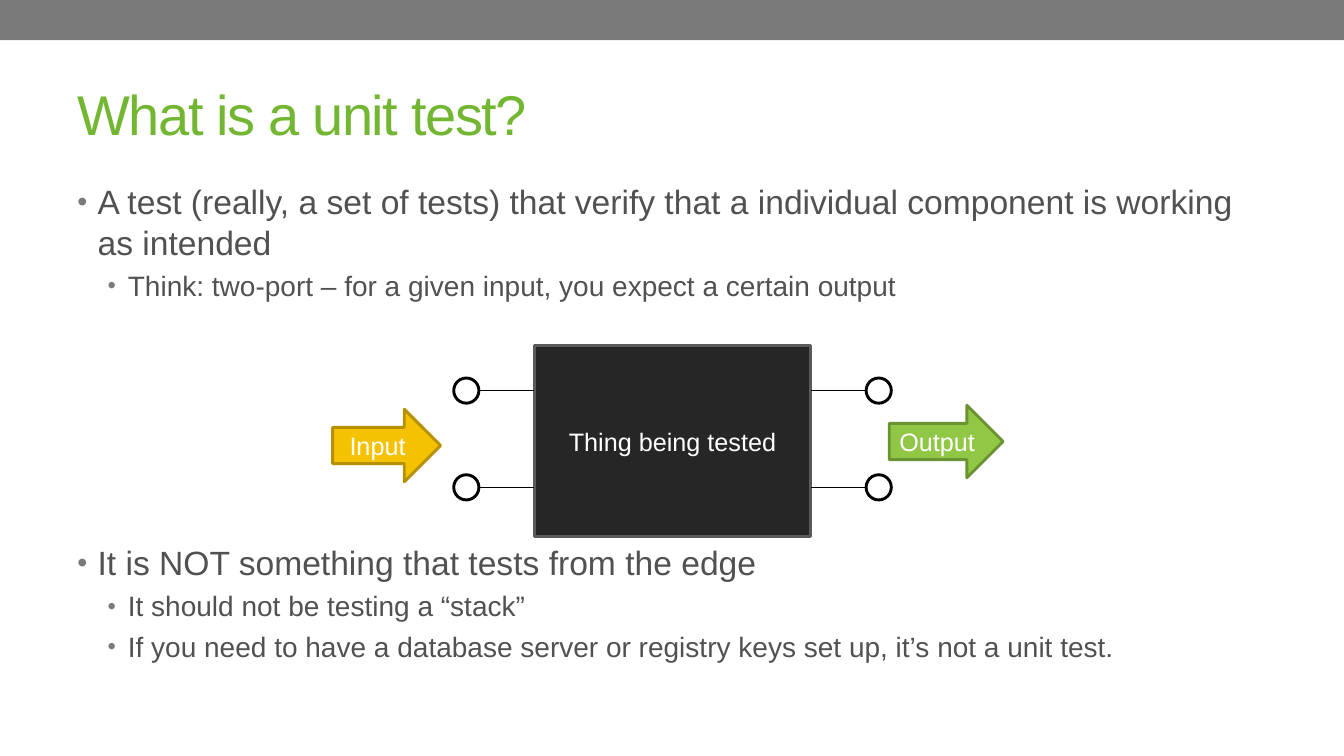
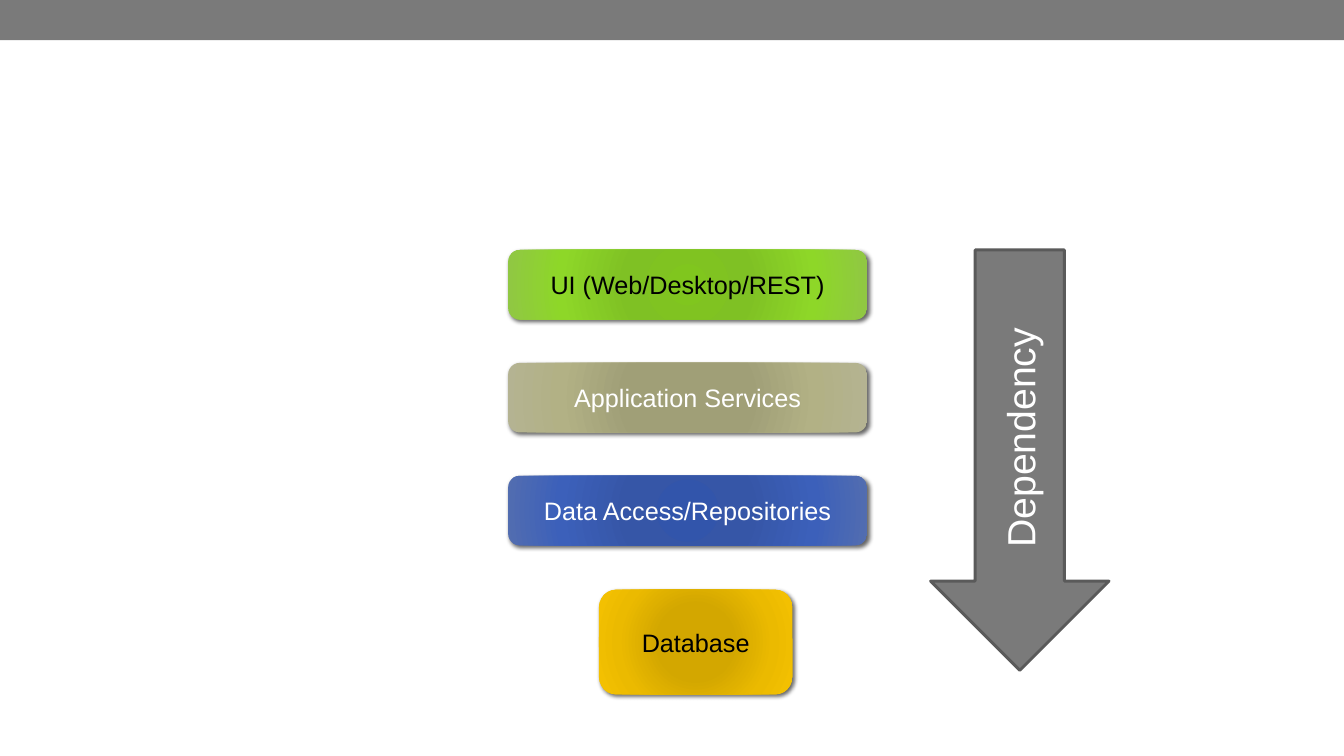
import lxml.etree
import pptx
import pptx.dml.color
import pptx.enum.shapes
import pptx.enum.text
import pptx.oxml
import pptx.oxml.ns
import pptx.util

Inches = pptx.util.Inches
Pt = pptx.util.Pt
qn = pptx.oxml.ns.qn
SHAPE = pptx.enum.shapes.MSO_SHAPE
ALIGN = pptx.enum.text.PP_ALIGN
ANCHOR = pptx.enum.text.MSO_ANCHOR

FONT = "Arial"
WHITE, BLACK = "FFFFFF", "000000"
GREEN, GRAY, DARK_GRAY, TEXT = "73B632", "7A7A7A", "5A5A5A", "505150"
OUTLINE = 2.08
BODY_LEVELS = [(24, 0.2), (20, 0.5)]  # text size, indent
GRADIENT_STOPS = (0, 34, 70, 100)


def color(value):
    return pptx.dml.color.RGBColor.from_string(value)


def add_xml(parent, tag, **attributes):
    return lxml.etree.SubElement(parent, qn(tag), attributes)


class Deck:
    """Holds the shared style and the slide being filled."""

    def __init__(self):
        self.deck = pptx.Presentation()
        self.deck.slide_width = Inches(13.33)
        self.deck.slide_height = Inches(7.5)
        self.page = None

    def new_page(self):
        self.page = self.deck.slides.add_slide(self.deck.slide_layouts[6])
        self.shape(SHAPE.RECTANGLE, 0, 0, 13.33, 0.4, GRAY)

    def span(self, para, text, size, hue):
        span = para.add_run()
        span.text = text
        span.font.name = FONT
        span.font.size = Pt(size)
        span.font.color.rgb = color(hue)
        return span

    def text_box(self, left, top, width, height, anchor=ANCHOR.TOP):
        box = self.page.shapes.add_textbox(
            Inches(left), Inches(top), Inches(width), Inches(height))
        box.text_frame.word_wrap = True
        box.text_frame.vertical_anchor = anchor
        return box.text_frame

    def title(self, text):
        frame = self.text_box(0.67, 0.58, 12, 1.08, ANCHOR.MIDDLE)
        span = self.span(frame.paragraphs[0], text, 40, GREEN)
        span.font._element.set("spc", "-100")

    def bullets(self, top, height, items):
        """Items are pairs of level and text."""
        frame = self.text_box(0.67, top, 12, height)
        for index, (level, text) in enumerate(items):
            para = frame.add_paragraph() if index else frame.paragraphs[0]
            size, indent = BODY_LEVELS[level]
            para.level = level
            para.space_before = Pt(size * 0.23)
            props = para._p.get_or_add_pPr()
            props.set("marL", str(Inches(indent)))
            props.set("indent", str(Inches(-0.2)))
            add_xml(add_xml(props, "a:buClr"), "a:srgbClr", val=GRAY)
            add_xml(props, "a:buSzPct", val="85000")
            add_xml(props, "a:buFont", typeface=FONT)
            add_xml(props, "a:buChar", char="•")
            self.span(para, text, size, TEXT)

    def shape(self, kind, left, top, width, height, fill, line=None):
        shape = self.page.shapes.add_shape(
            kind, Inches(left), Inches(top), Inches(width), Inches(height))
        shape.shadow.inherit = False
        shape.fill.solid()
        shape.fill.fore_color.rgb = color(fill)
        if line:
            shape.line.color.rgb = color(line)
            shape.line.width = Pt(OUTLINE)
        else:
            shape.line.fill.background()
        return shape

    def label(self, shape, text, size=18, hue=WHITE):
        frame = shape.text_frame
        frame.word_wrap = True
        frame.margin_left = frame.margin_right = 0
        frame.vertical_anchor = ANCHOR.MIDDLE
        para = frame.paragraphs[0]
        para.alignment = ALIGN.CENTER
        self.span(para, text, size, hue)

    def glossy_block(self, left, top, width, height, text, hue, colors):
        """Rounded box with a radial gradient and a soft shadow."""
        block = self.shape(SHAPE.ROUNDED_RECTANGLE, left, top, width, height, colors[0])
        self.label(block, text, hue=hue)
        props = block._element.spPr
        gradient = pptx.oxml.parse_xml(
            f'<a:gradFill {pptx.oxml.ns.nsdecls("a")} rotWithShape="1"/>')
        stops = add_xml(gradient, "a:gsLst")
        for position, value in zip(GRADIENT_STOPS, colors):
            stop = add_xml(stops, "a:gs", pos=str(position * 1000))
            add_xml(stop, "a:srgbClr", val=value)
        focus = add_xml(gradient, "a:path", path="circle")
        add_xml(focus, "a:fillToRect", **dict.fromkeys("ltrb", "100000"))
        props.replace(props.find(qn("a:solidFill")), gradient)
        shadow = add_xml(props.find(qn("a:effectLst")), "a:outerShdw",
                         blurRad=str(Pt(3)), dist=str(Pt(2)), dir=str(45 * 60000),
                         algn="tl", rotWithShape="0")
        add_xml(add_xml(shadow, "a:srgbClr", val=BLACK), "a:alpha", val="60000")

    def wire(self, start_x, end_x, y):
        wire = self.page.shapes.add_connector(
            pptx.enum.shapes.MSO_CONNECTOR.STRAIGHT,
            Inches(start_x), Inches(y), Inches(end_x), Inches(y))
        wire.line.color.rgb = color(BLACK)
        wire.line.width = Pt(0.75)
        add_xml(wire._element.spPr, "a:effectLst")


def unit_test_page(deck):
    deck.new_page()
    deck.title("What is a unit test?")
    deck.bullets(1.75, 1.4, [
        (0, "A test (really, a set of tests) that verify that a individual "
            "component is working as intended"),
        (1, "Think: two-port – for a given input, you expect a certain output"),
    ])
    deck.bullets(5.33, 1.75, [
        (0, "It is NOT something that tests from the edge"),
        (1, "It should not be testing a “stack”"),
        (1, "If you need to have a database server or registry keys set up, "
            "it’s not a unit test."),
    ])
    tested = deck.shape(SHAPE.RECTANGLE, 5.3, 3.43, 2.74, 1.89, "262626", DARK_GRAY)
    deck.label(tested, "Thing being tested")

    port = 0.25
    for y in (3.75, 4.71):
        for left, wire_start, wire_end in ((4.5, 4.74, 5.3), (8.59, 8.59, 8.04)):
            deck.shape(SHAPE.OVAL, left, y, port, port, WHITE, BLACK)
            deck.wire(wire_start, wire_end, y + port / 2)

    for text, left, top, width, fill, line in (
            ("Input", 3.3, 4.06, 1.07, "F5C201", "B59001"),
            ("Output", 8.82, 4.02, 1.13, "90C744", "6B9332")):
        arrow = deck.shape(SHAPE.RIGHT_ARROW, left, top, width, 0.72, fill, line)
        deck.label(arrow, text)


def dependency_page(deck):
    deck.new_page()
    top, pitch = 2.48, 1.12
    layers = [
        ("UI (Web/Desktop/REST)", BLACK, ("80C61E", "7FC124", "8ED728", "90C744")),
        ("Application Services", WHITE, ("A1A076", "A09F77", "B2B185", "B4B392")),
        ("Data Access/Repositories", WHITE, ("3255AB", "3656A7", "3C60BA", "526DB0")),
    ]
    for index, (text, hue, colors) in enumerate(layers):
        deck.glossy_block(5.04, top + index * pitch, 3.56, 0.69, text, hue, colors)
    deck.glossy_block(5.94, 5.85, 1.92, 1.04, "Database", BLACK,
                      ("D3A700", "D3A700", "EBBA00", "F5C201"))
    arrow = deck.shape(SHAPE.DOWN_ARROW, 9.23, top, 1.77, 4.17, GRAY, DARK_GRAY)
    deck.label(arrow, "Dependency", size=28)
    arrow.text_frame._txBody.bodyPr.set("vert", "vert270")


def main():
    deck = Deck()
    unit_test_page(deck)
    dependency_page(deck)
    deck.deck.save("out.pptx")


if __name__ == "__main__":
    main()
